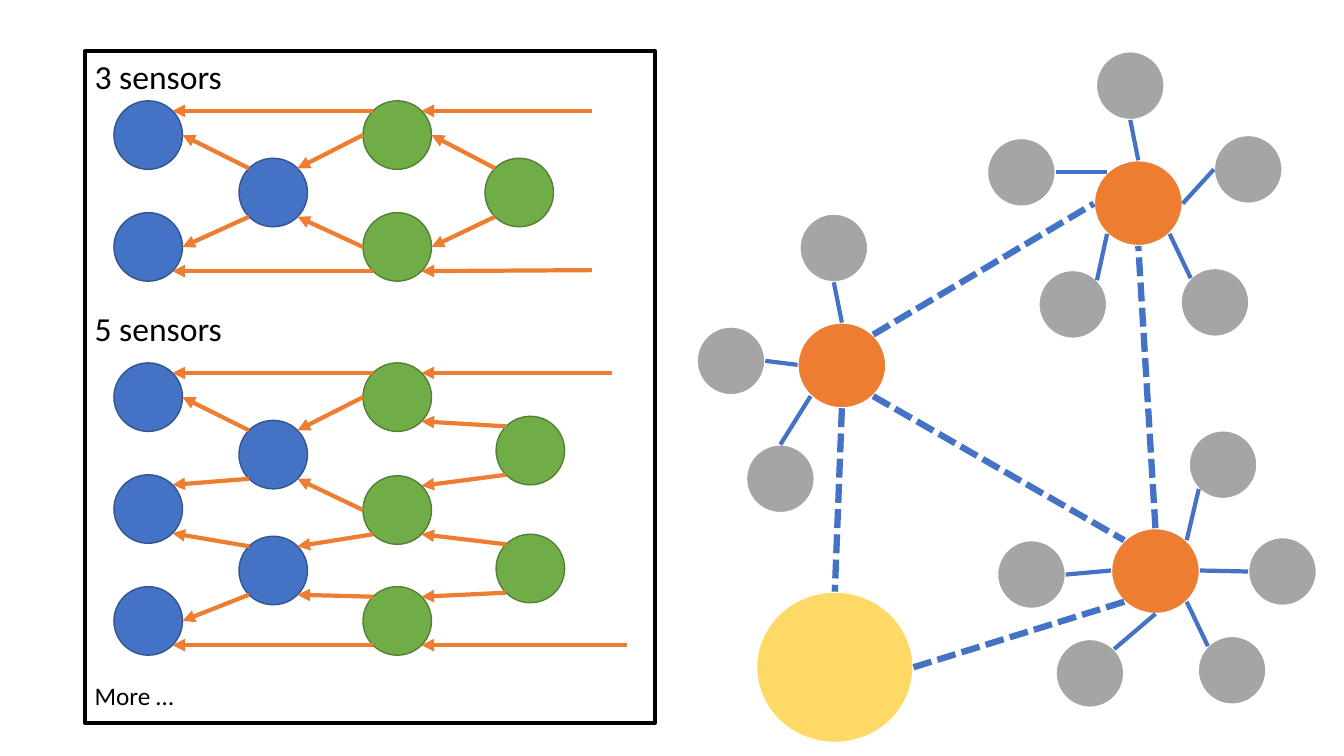
import math

import lxml.etree
import pptx
import pptx.dml.color
import pptx.enum.dml
import pptx.enum.shapes
import pptx.enum.text
import pptx.oxml.ns
import pptx.util

PX = 9144
THEME = {
    "font": "Calibri",
    "heading_size": 24,
    "note_size": 18,
    "text": "000000",
    "blue": "4472C4",
    "blue_edge": "325491",
    "green": "70AD47",
    "green_edge": "538035",
    "orange": "ED7D31",
    "gray": "A5A5A5",
    "yellow": "FFD966",
    "white": "FFFFFF",
}
DIAGONAL = math.sqrt(0.5)
SITES = {
    "N": (0, -1), "NE": (DIAGONAL, -DIAGONAL), "E": (1, 0), "SE": (DIAGONAL, DIAGONAL),
    "S": (0, 1), "SW": (-DIAGONAL, DIAGONAL), "W": (-1, 0), "NW": (-DIAGONAL, -DIAGONAL),
}
NODE = 68
HUB_WIDTH, HUB_HEIGHT = 88, 85

presentation = pptx.Presentation()
presentation.slide_width = 1333 * PX
presentation.slide_height = 750 * PX
slide = presentation.slides.add_slide(presentation.slide_layouts[6])


def add_circle(left, top, width, height, fill, edge, edge_width):
    shape = slide.shapes.add_shape(
        pptx.enum.shapes.MSO_SHAPE.OVAL, left * PX, top * PX, width * PX, height * PX)
    shape.shadow.inherit = False
    shape.fill.solid()
    shape.fill.fore_color.rgb = pptx.dml.color.RGBColor.from_string(THEME[fill])
    shape.line.color.rgb = pptx.dml.color.RGBColor.from_string(THEME[edge])
    shape.line.width = pptx.util.Pt(edge_width)
    return {
        site: (round(left + width * (1 + x) / 2), round(top + height * (1 + y) / 2))
        for site, (x, y) in SITES.items()
    }


def add_link(begin, end, color, width, dashed=False, arrow=False):
    connector = slide.shapes.add_connector(
        pptx.enum.shapes.MSO_CONNECTOR.STRAIGHT, *(length * PX for length in begin + end))
    connector.line.color.rgb = pptx.dml.color.RGBColor.from_string(THEME[color])
    connector.line.width = pptx.util.Pt(width)
    if dashed:
        connector.line.dash_style = pptx.enum.dml.MSO_LINE.SQUARE_DOT
    properties = connector.element.spPr
    if arrow:
        outline = properties.find(pptx.oxml.ns.qn("a:ln"))
        lxml.etree.SubElement(outline, pptx.oxml.ns.qn("a:tailEnd"), type="triangle")
    lxml.etree.SubElement(properties, pptx.oxml.ns.qn("a:effectLst"))


panel = slide.shapes.add_shape(
    pptx.enum.shapes.MSO_SHAPE.RECTANGLE, 84 * PX, 51 * PX, 566 * PX, 666 * PX)
panel.shadow.inherit = False
panel.fill.background()
panel.line.color.rgb = pptx.dml.color.RGBColor.from_string(THEME["text"])
panel.line.width = pptx.util.Pt(3)
text_frame = panel.text_frame
text_frame.word_wrap = True
text_frame.vertical_anchor = pptx.enum.text.MSO_ANCHOR.TOP
text_frame.text = "3 sensors\n5 sensors\nMore …"
paragraph_styles = [("heading_size", 0), ("heading_size", 151), ("note_size", 237)]
for paragraph, (size, gap) in zip(text_frame.paragraphs, paragraph_styles):
    paragraph.alignment = pptx.enum.text.PP_ALIGN.LEFT
    paragraph.space_before = pptx.util.Pt(gap)
    font = paragraph.runs[0].font
    font.name = THEME["font"]
    font.size = pptx.util.Pt(THEME[size])
    font.color.rgb = pptx.dml.color.RGBColor.from_string(THEME["text"])

column_styles = {"sink": "blue", "relay": "blue", "source": "green", "sensor": "green"}
sensor_networks = [
    {
        "columns": {
            "sink": (113, [100, 211]),
            "relay": (237, [157]),
            "source": (360, [100, 211]),
            "sensor": (481, [157]),
        },
        "feeds": [((587, 110), "source1.NE"), ((587, 268), "source2.SE")],
        "links": [
            "relay1.NW sink1.E", "relay1.SW sink2.E",
            "source1.W relay1.NE", "source2.W relay1.SE",
            "sensor1.NW source1.E", "sensor1.SW source2.E",
            "source1.NW sink1.NE", "source2.SW sink2.SE",
        ],
    },
    {
        "columns": {
            "sink": (113, [360, 471, 582]),
            "relay": (237, [417, 532]),
            "source": (360, [360, 472, 582]),
            "sensor": (492, [413, 530]),
        },
        "feeds": [((607, 370), "source1.NE"), ((622, 640), "source3.SE")],
        "links": [
            "relay1.NW sink1.E", "relay1.SW sink2.NE",
            "relay2.NW sink2.SE", "relay2.SW sink3.E",
            "source1.W relay1.NE", "source2.W relay1.SE",
            "source2.SW relay2.NE", "source3.NW relay2.SE",
            "source1.NW sink1.NE", "source3.SW sink3.SE",
            "sensor1.NW source1.SE", "sensor1.SW source2.NE",
            "sensor2.NW source2.SE", "sensor2.SW source3.NE",
        ],
    },
]
for network in sensor_networks:
    points = {}
    for column, (left, tops) in network["columns"].items():
        color = column_styles[column]
        for number, top in enumerate(tops, 1):
            sites = add_circle(left, top, NODE, NODE, color, color + "_edge", 1)
            for site, point in sites.items():
                points[f"{column}{number}.{site}"] = point
    for link in network["links"]:
        begin, end = link.split()
        add_link(points[begin], points[end], "orange", 3, arrow=True)
    for begin, end in network["feeds"]:
        add_link(begin, points[end], "orange", 3, arrow=True)

clusters = {
    "north": ((1085, 159), [
        (1087, 51, "S", "N"), (979, 137, "E", "NW"), (1204, 134, "W", "E"),
        (1171, 266, "NW", "SE"), (1030, 268, "NE", "SW"),
    ]),
    "south": ((1102, 524), [
        (1179, 427, "SW", "NE"), (989, 536, "E", "W"), (1238, 533, "W", "E"),
        (1188, 631, "NW", "SE"), (1047, 634, "NE", "S"),
    ]),
    "west": ((791, 320), [
        (793, 212, "S", "N"), (691, 324, "E", "W"), (740, 441, "N", "SW"),
    ]),
}
hubs = {"base": add_circle(750, 587, 156, 150, "yellow", "white", 1.5)}
for name, ((left, top), leaves) in clusters.items():
    hubs[name] = add_circle(left, top, HUB_WIDTH, HUB_HEIGHT, "orange", "white", 1.5)
    for leaf_left, leaf_top, leaf_site, hub_site in leaves:
        leaf = add_circle(leaf_left, leaf_top, NODE, NODE, "gray", "white", 1.5)
        add_link(leaf[leaf_site], hubs[name][hub_site], "blue", 3)

backbone = [
    ("west", "SE", "south", "NW"),
    ("west", "NE", "north", "W"),
    ("south", "N", "north", "S"),
    ("west", "S", "base", "N"),
    ("south", "SW", "base", "E"),
]
for begin, begin_site, end, end_site in backbone:
    add_link(hubs[begin][begin_site], hubs[end][end_site], "blue", 4.5, dashed=True)

presentation.save("out.pptx")
